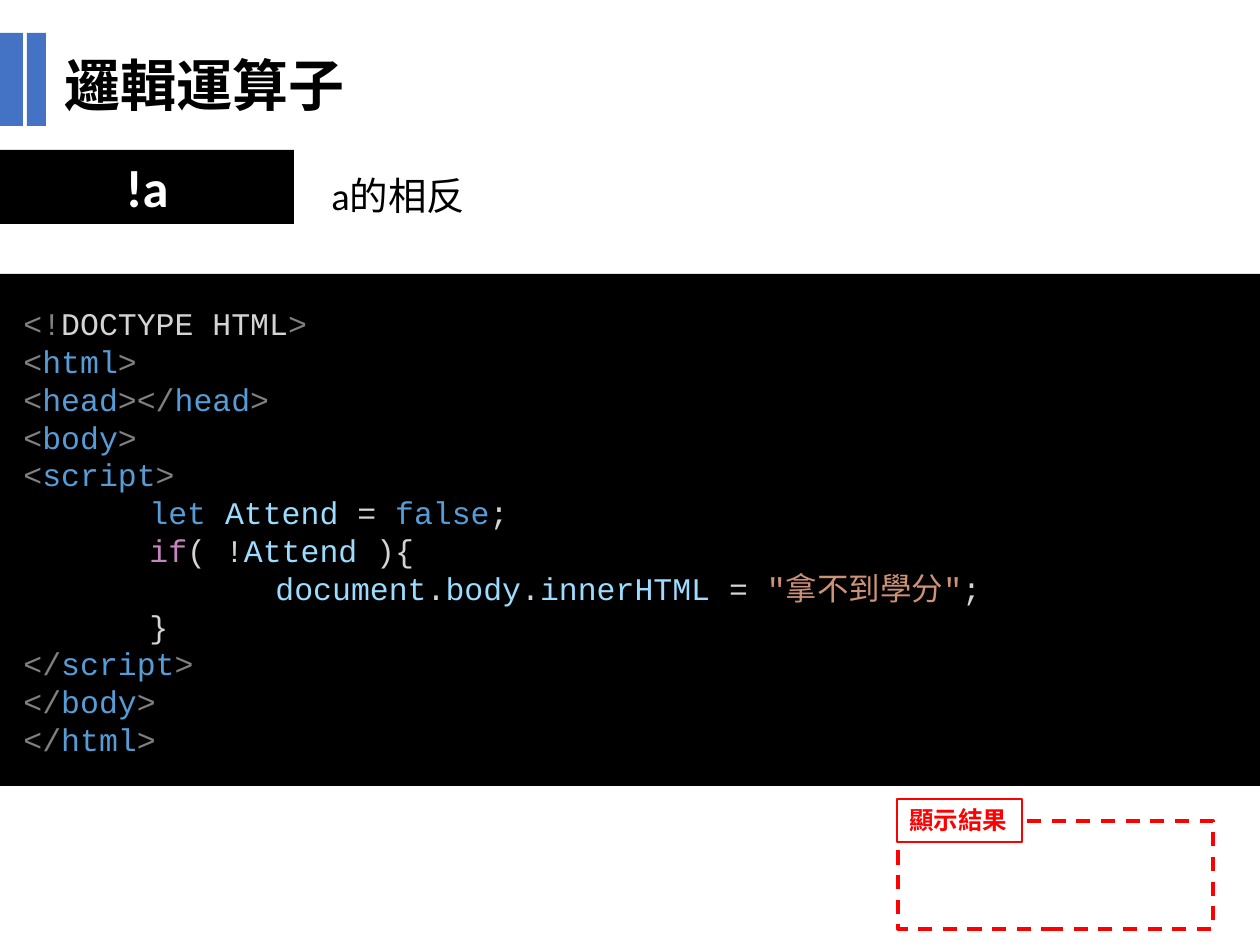
from lxml import etree
from pptx import Presentation
from pptx.dml.color import RGBColor
from pptx.enum.dml import MSO_LINE
from pptx.enum.shapes import MSO_SHAPE
from pptx.enum.text import MSO_ANCHOR, PP_ALIGN
from pptx.oxml.ns import qn
from pptx.util import Emu, Pt

RECT = MSO_SHAPE.RECTANGLE
DASH = MSO_LINE.DASH
TOP, MIDDLE = MSO_ANCHOR.TOP, MSO_ANCHOR.MIDDLE
LEFT, CENTER = PP_ALIGN.LEFT, PP_ALIGN.CENTER
PX = 914400 / 126
TAB_STOPS = (126, 252)

COLORS = {
    "black": "000000", "white": "FFFFFF", "red": "FF0000", "blue": "4472C4",
    "mark": "808080", "plain": "D4D4D4", "keyword": "569CD6",
    "variable": "9CDCFE", "control": "C586C0", "string": "CE9178",
}


def tag(name, start="<"):
    return [(start, "mark"), (name, "keyword"), (">", "mark")]


CODE = [
    [("<!", "mark"), ("DOCTYPE HTML", "plain"), (">", "mark")],
    tag("html"),
    tag("head") + tag("head", "</"),
    tag("body"),
    tag("script"),
    [("\tlet ", "keyword"), ("Attend ", "variable"), ("= ", "plain"),
     ("false", "keyword"), (";", "plain")],
    [("\tif", "control"), ("( !", "plain"), ("Attend", "variable"), (" ){", "plain")],
    [("\t\tdocument", "variable"), (".", "plain"), ("body", "variable"),
     (".", "plain"), ("innerHTML ", "variable"), ("= ", "plain"),
     ('"拿不到學分"', "string"), (";", "plain")],
    [("\t}", "plain")],
    tag("script", "</"),
    tag("body", "</"),
    tag("html", "</"),
]


def rgb(name):
    return RGBColor.from_string(COLORS[name])


def emu(lengths):
    return [Emu(round(v * PX)) for v in lengths]


def add_rect(s, box, fill=None, line=None, width=1, dash=None):
    sp = s.shapes.add_shape(RECT, *emu(box))
    sp.shadow.inherit = False
    if fill:
        sp.fill.solid()
        sp.fill.fore_color.rgb = rgb(fill)
    else:
        sp.fill.background()
    if line:
        sp.line.color.rgb = rgb(line)
        sp.line.width = Pt(width)
        if dash:
            sp.line.dash_style = dash
    else:
        sp.line.fill.background()
    return sp


def add_box(s, box):
    return s.shapes.add_textbox(*emu(box))


def add_tabs(p, stops):
    tabs = etree.SubElement(p._p.get_or_add_pPr(), qn("a:tabLst"))
    for pos in emu(stops):
        etree.SubElement(tabs, qn("a:tab"), pos=str(pos), algn="l")


def write(sp, text, size, color="black", font="Calibri", bold=False,
          align=LEFT, anchor=TOP, wrap=True, tabs=()):
    """Fill a shape with a string, or with lines of (text, colour) runs."""
    tf = sp.text_frame
    tf.word_wrap = wrap
    tf.vertical_anchor = anchor
    lines = [[(text, color)]] if isinstance(text, str) else text
    for i, runs in enumerate(lines):
        p = tf.add_paragraph() if i else tf.paragraphs[0]
        p.alignment = align
        if tabs:
            add_tabs(p, tabs)
        for words, run_color in runs:
            r = p.add_run()
            r.text = words
            r.font.name = font
            r.font.size = Pt(size)
            r.font.bold = bold
            r.font.color.rgb = rgb(run_color)


def main():
    prs = Presentation()
    prs.slide_width, prs.slide_height = emu((1260, 945))
    s = prs.slides.add_slide(prs.slide_layouts[6])

    add_rect(s, (0, 274, 1260, 512), "black")
    operator = add_rect(s, (0, 150, 294, 74), "black")
    write(operator, "!a", 30, "white", bold=True, align=CENTER, anchor=MIDDLE)

    add_rect(s, (898, 821, 315, 108), line="red", width=2, dash=DASH)
    result = add_rect(s, (897, 799, 125, 43), "white", "red", 1.5)
    write(result, "顯示結果", 14, "red", bold=True, wrap=False)

    write(add_box(s, (319, 166, 160, 59)), "a的相反", 22)

    for x, width in ((0, 23), (27, 19)):
        add_rect(s, (x, 33, width, 93), "blue")
    write(add_box(s, (52, 44, 673, 81)), "邏輯運算子", 32, font="Arial", bold=True)

    write(add_box(s, (11, 298, 1067, 585)), CODE, 18, font="Courier New",
          tabs=TAB_STOPS)

    prs.save("out.pptx")


if __name__ == "__main__":
    main()
